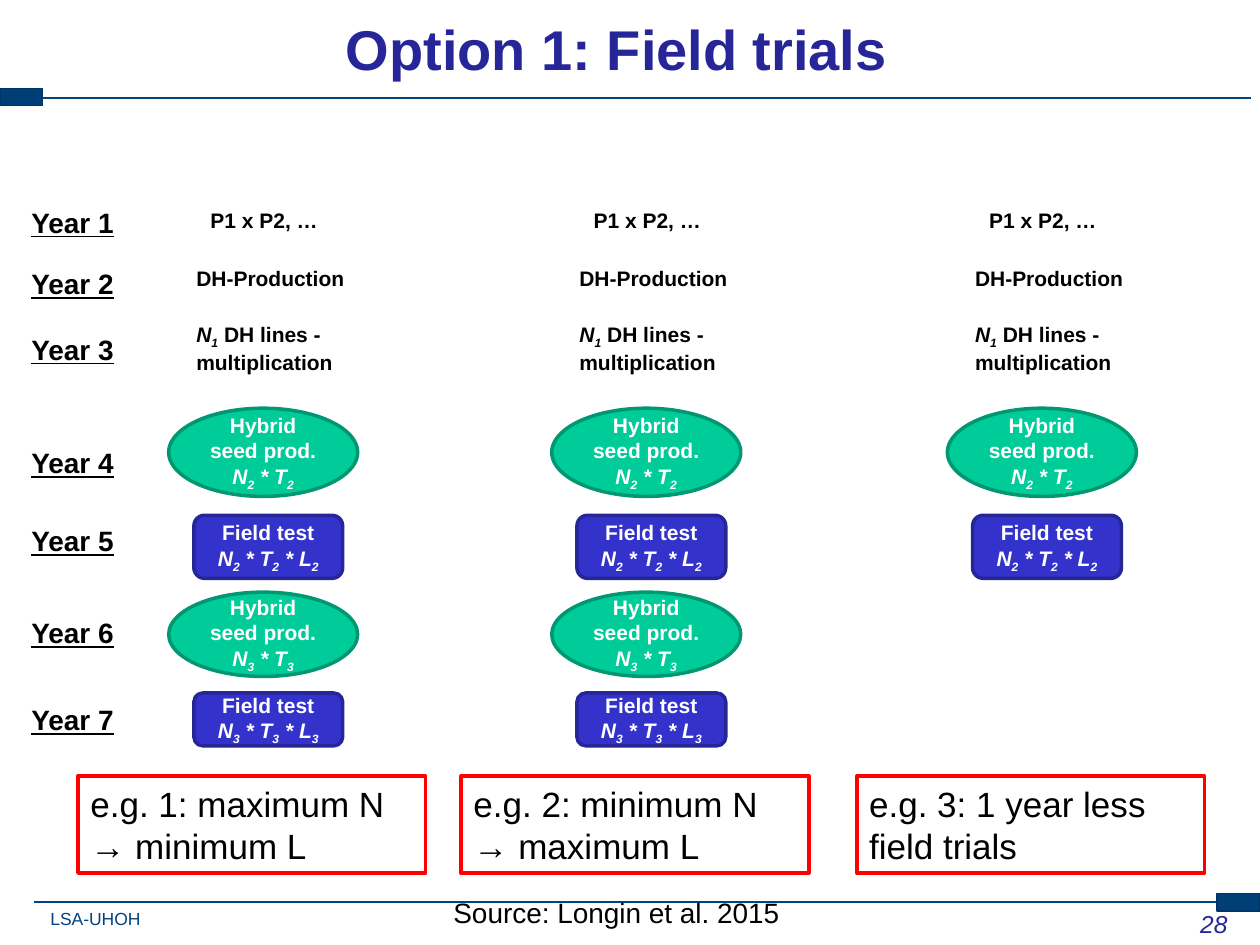
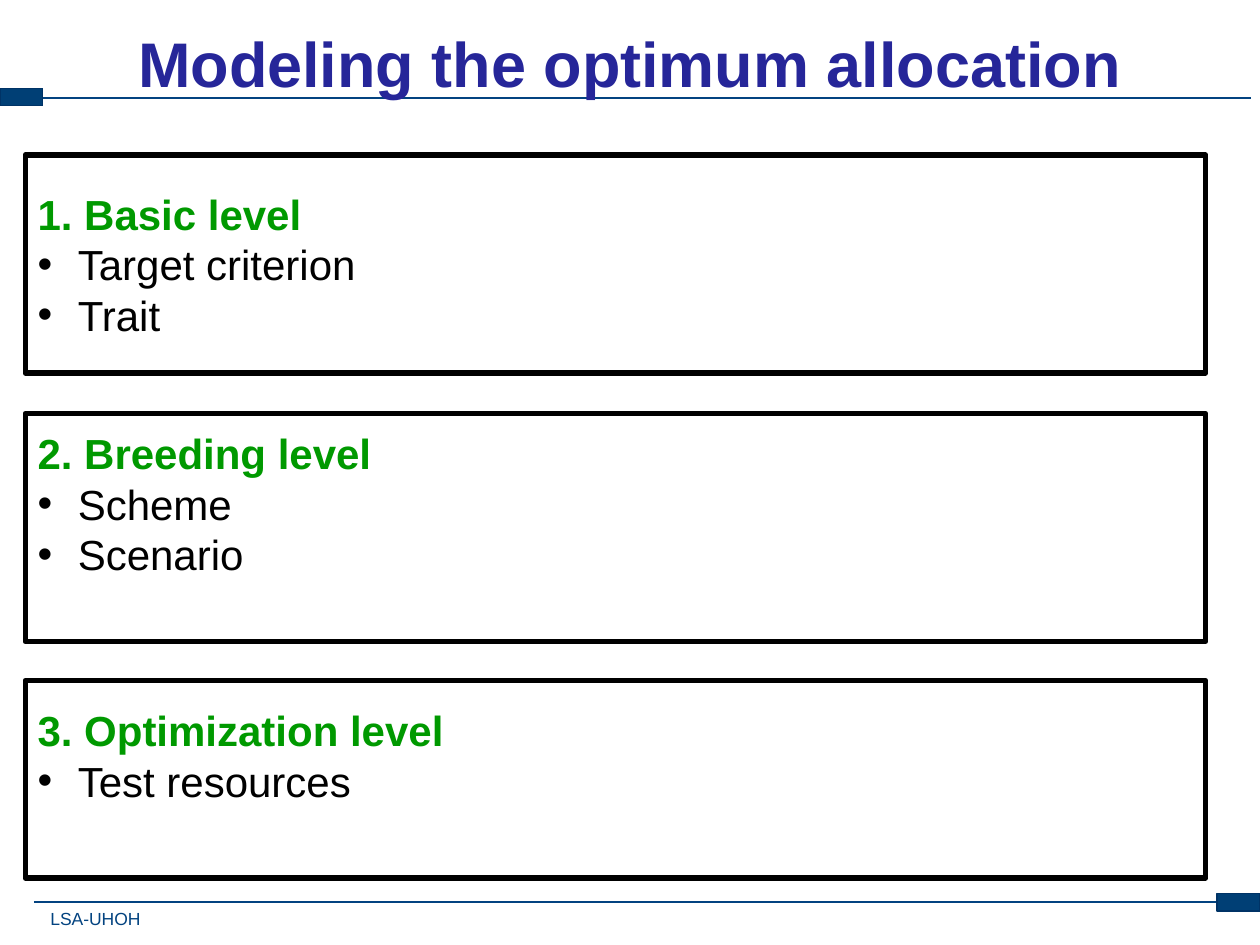
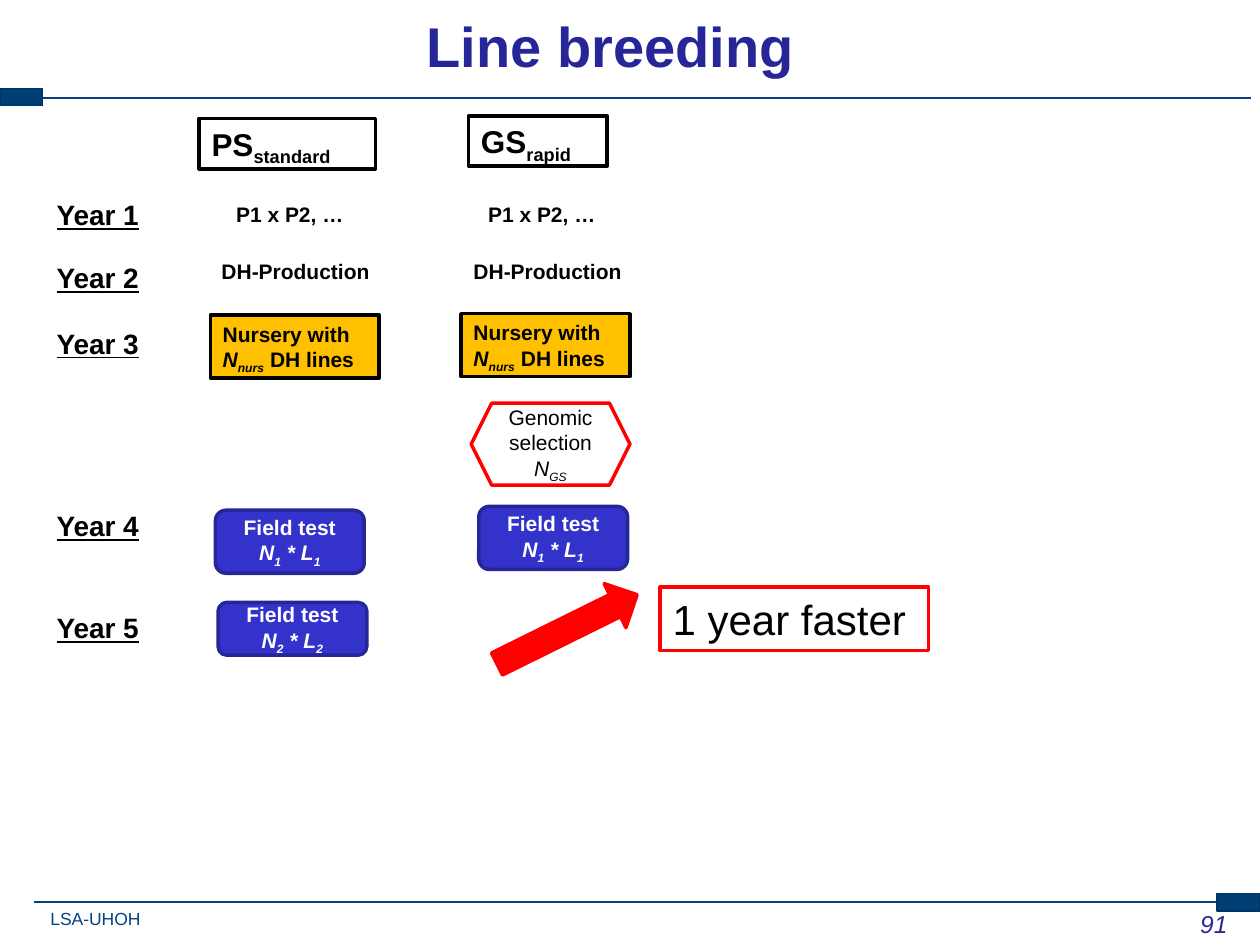
from lxml.etree import SubElement
from pptx import Presentation
from pptx.dml.color import RGBColor
from pptx.enum.shapes import MSO_CONNECTOR, MSO_SHAPE
from pptx.enum.text import MSO_ANCHOR, PP_ALIGN
from pptx.oxml.ns import qn
from pptx.util import Pt

COLORS = {
    "black": "000000", "white": "FFFFFF", "red": "FF0000", "title": "262699",
    "rule": "034380", "band": "003F75", "band edge": "003366",
    "seed": "00CC99", "seed edge": "009771", "field": "3333CC", "field edge": "262697",
    "nursery": "FFC000", "heading": "009900",
}
FONT = "Arial"
CENTERED = {"align": PP_ALIGN.CENTER, "anchor": MSO_ANCHOR.MIDDLE}
SEED = {"kind": MSO_SHAPE.OVAL, "fill": "seed", "edge": "seed edge",
        "color": "white", "bold": True, **CENTERED}
FIELD = {"kind": MSO_SHAPE.ROUNDED_RECTANGLE, "fill": "field", "edge": "field edge",
         "color": "white", "bold": True, **CENTERED}
FRAME = {"kind": MSO_SHAPE.RECTANGLE, "fill": "white"}
NURSERY = {"kind": MSO_SHAPE.RECTANGLE, "fill": "nursery", "edge": "black", "bold": True}


def add_box(page, place, lines=(), size=12, kind=None, fill=None, edge=None, weight=2,
            color="black", bold=None, underline=None, align=PP_ALIGN.LEFT,
            anchor=MSO_ANCHOR.TOP):
    """Add a box; in its lines, / switches italic and _ switches subscript."""
    place = [Pt(length) for length in place]
    if kind is None:
        box = page.shapes.add_textbox(*place)
    else:
        box = page.shapes.add_shape(kind, *place)
        box.shadow.inherit = False
        if fill:
            box.fill.solid()
            box.fill.fore_color.rgb = RGBColor.from_string(COLORS[fill])
        else:
            box.fill.background()
        box.line.color.rgb = RGBColor.from_string(COLORS[edge])
        box.line.width = Pt(weight)
    frame = box.text_frame
    frame.word_wrap = True
    frame.vertical_anchor = anchor
    for number, line in enumerate(lines):
        para = frame.add_paragraph() if number else frame.paragraphs[0]
        para.alignment = align
        for slant, chunk in enumerate(line.split("/")):
            for level, piece in enumerate(chunk.split("_")):
                if not piece:
                    continue
                span = para.add_run()
                span.text = piece
                span.font.name = FONT
                span.font.size = Pt(size)
                span.font.bold = bold
                span.font.underline = underline
                span.font.color.rgb = RGBColor.from_string(COLORS[color])
                if slant % 2:
                    span.font.italic = True
                if level % 2:
                    span.font._element.set("baseline", "-25000")
    return box


def add_page(title, place, size=32, number=None):
    """Add a page with the shared rules, bands, footer and title."""
    page = deck.slides.add_slide(deck.slide_layouts[6])
    for left, right, top in ((19.4, 712.8, 515.5), (22.3, 715, 56.2)):
        rule = page.shapes.add_connector(
            MSO_CONNECTOR.STRAIGHT, Pt(left), Pt(top), Pt(right), Pt(top))
        rule.line.color.rgb = RGBColor.from_string(COLORS["rule"])
        rule.line.width = Pt(1)
        SubElement(rule._element.spPr, qn("a:effectLst"))
    for left, top in ((695.5, 510.5), (0, 50.4)):
        add_box(page, (left, top, 24.5, 10.1), kind=MSO_SHAPE.RECTANGLE,
                fill="band", edge="band edge", weight=0.75)
    footer = add_box(page, (28.8, 519.1, 60, 12.2), ["LSA-UHOH"], 10, color="rule")
    frame = footer.text_frame
    frame.margin_left = frame.margin_right = frame.margin_top = frame.margin_bottom = 0
    if number:
        add_box(page, (558.7, 516.2, 149.8, 36), [f"/{number}/"], 14,
                color="title", align=PP_ALIGN.RIGHT)
    add_box(page, place, [title], size, color="title", bold=True, **CENTERED)
    return page


deck = Presentation()
deck.slide_width, deck.slide_height = Pt(720), Pt(540)

# Field trials: years down the side, three example schemes
page = add_page("Option 1: Field trials", (-14.4, -7.9, 733.7, 71.3), number=28)
add_box(page, (252, 508.3, 207.4, 26.6), ["Source: Longin et al. 2015"], 16)
for year, top in enumerate((113.8, 149, 186.5, 251.3, 295.9, 348.5, 398.2), 1):
    add_box(page, (10.8, top, 74, 26.6), [f"Year {year}"], 16, bold=True, underline=True)

# Each test stage: index, seed top, seed height, field top, field height
stages = ((2, 233.3, 50.4, 294.5, 36), (3, 338.4, 48.2, 396, 30.2))
schemes = (
    (44.6, 2, "e.g. 1: maximum N → minimum L"),
    (263.5, 2, "e.g. 2: minimum N → maximum L"),
    (489.6, 1, "e.g. 3: 1 year less field trials"),
)
for left, stage_count, example in schemes:
    add_box(page, (left + 68.6, 115.2, 85, 21.6), ["P1 x P2, …"], bold=True)
    add_box(page, (left + 60.5, 148.3, 108, 21.6), ["DH-Production"], bold=True)
    add_box(page, (left + 60.5, 180, 96.5, 36),
            ["/N_1_/ DH lines - multiplication"], bold=True)
    for n, seed_top, seed_height, field_top, field_height in stages[:stage_count]:
        add_box(page, (left + 51.8, seed_top, 108, seed_height),
                ["Hybrid seed prod.", f"/N_{n}_ * T_{n}_/"], **SEED)
        add_box(page, (left + 66.2, field_top, 85, field_height),
                ["Field test", f"/N_{n}_ * T_{n}_ * L_{n}_/"], **FIELD)
    add_box(page, (left, 443.5, 198.7, 55.4), [example], 20, edge="red", **FRAME)

# Optimum allocation: three framed levels
page = add_page("Modeling the optimum allocation", (0, 0, 720, 71.3), 36)
levels = (
    (88.6, 124.6, 3.6, ["1. Basic level", "Target criterion", "Trait"]),
    (236.2, 130.3, 31.2, ["2. Breeding level", "Scheme", "Scenario"]),
    (388.8, 113, 31.2, ["3. Optimization level", "Test resources"]),
)
for top, height, bottom_margin, lines in levels:
    box = add_box(page, (14.4, top, 674.6, height), lines, 24, edge="black", weight=3,
                  anchor=MSO_ANCHOR.MIDDLE, **FRAME)
    box.text_frame.margin_bottom = Pt(bottom_margin)
    heading, *items = box.text_frame.paragraphs
    heading.runs[0].font.bold = True
    heading.runs[0].font.color.rgb = RGBColor.from_string(COLORS["heading"])
    for para in items:
        settings = para._p.get_or_add_pPr()
        settings.set("marL", str(Pt(23)))
        settings.set("indent", str(-Pt(23)))
        SubElement(settings, qn("a:buFont"), typeface=FONT)
        SubElement(settings, qn("a:buChar"), char="•")

# Line breeding: years and two schemes
page = add_page("Line breeding", (-18, -10.1, 733.7, 71.3), number=91)
for year, top in enumerate((109.4, 145.4, 182.9, 287.3, 345.6), 1):
    add_box(page, (25.2, top, 74, 26.6), [f"Year {year}"], 16, bold=True, underline=True)
breeding = (
    (119.5, (113.8, 67.7, 100.8, 28.8), "PS_standard_", (120.2, 180)),
    (263.5, (267.8, 66.2, 79.2, 28.8), "GS_rapid_", (263.5, 179.3)),
)
for left, header_place, header, nursery_corner in breeding:
    add_box(page, header_place, [header], 18, edge="black", bold=True, **FRAME)
    add_box(page, (left + 8.3, 111.6, 85, 21.6), ["P1 x P2, …"], bold=True)
    add_box(page, (left, 144, 108, 21.6), ["DH-Production"], bold=True)
    add_box(page, (*nursery_corner, 96.5, 36),
            ["Nursery with /N_nurs_/ DH lines"], **NURSERY)

# Selection and field tests
add_box(page, (269.3, 230.4, 90.7, 46.8), ["Genomic selection /N_GS_/"],
        kind=MSO_SHAPE.HEXAGON, edge="red", **CENTERED)
for left, top, height, n in ((123.1, 291.6, 36, 1), (124.6, 344.2, 30.2, 2),
                             (273.6, 289.4, 36, 1)):
    add_box(page, (left, top, 85, height), ["Field test", f"/N_{n}_ * L_{n}_/"], **FIELD)

# Time saved
arrow = add_box(page, (279.4, 345.6, 89.3, 28.1), kind=MSO_SHAPE.RIGHT_ARROW,
                fill="red", edge="red")
arrow.rotation = 333.7
add_box(page, (377.3, 335.5, 153.4, 36.4), ["1 year faster"], 24, edge="red", **FRAME)

deck.save("out.pptx")
